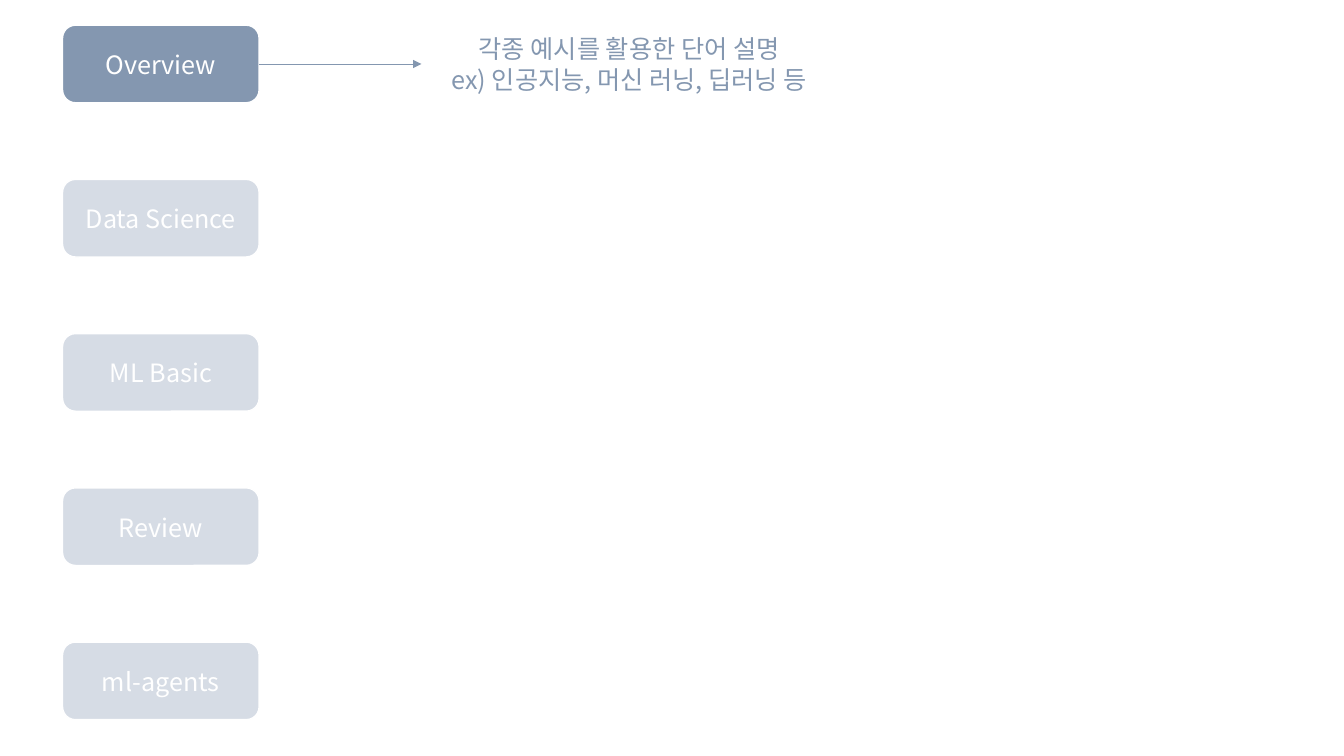
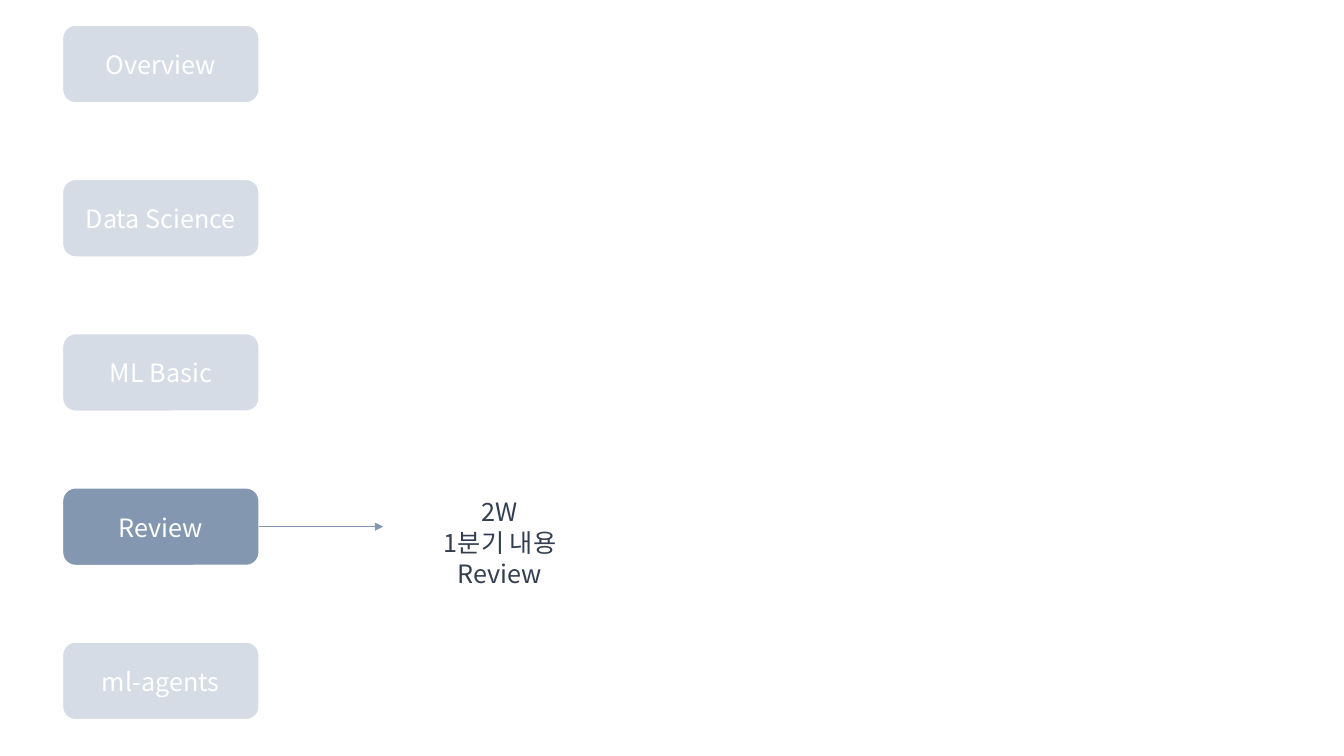
from pptx import Presentation
from pptx import util as u
from pptx.dml.color import RGBColor
from pptx.enum import shapes, text
from pptx.oxml.ns import qn
from lxml import etree

FONT = "Noto Sans CJK KR"
WHITE, PALE, BLUE, NAVY = "FFFFFF", "D6DCE5", "8497B0", "333F50"
STEPS = ["Overview", "Data Science", "ML Basic", "Review", "ml-agents"]
# Button column: left, top, width, height, row pitch in inches
LEFT, TOP, WIDE, HIGH, PITCH = 0.62, 0.25, 1.95, 0.77, 1.53
INSET = 0.05
NOTE_H = 0.71

SLIDES = [
    {"step": "Overview", "color": BLUE, "tip": 4.18, "left": 4.18, "wide": 4.12,
     "note": "각종 예시를 활용한 단어 설명\nex) 인공지능, 머신 러닝, 딥러닝 등"},
    {"step": "Review", "color": NAVY, "tip": 3.8, "left": 3.91, "wide": 2.1,
     "note": "2W\n1분기 내용 Review"},
]


def rgb(code):
    return RGBColor.from_string(code)


def write(shape, words, color, anchor):
    frame = shape.text_frame
    frame.word_wrap = True
    frame.vertical_anchor = anchor
    for side in ("left", "right", "top", "bottom"):
        setattr(frame, "margin_" + side, u.Inches(INSET))
    para = frame.paragraphs[0]
    para.text = words
    para.alignment = text.PP_ALIGN.CENTER
    para.line_spacing = u.Pt(22)
    for run in para.runs:
        for key, value in {"name": FONT, "size": u.Pt(18)}.items():
            setattr(run.font, key, value)
        run.font.color.rgb = rgb(color)
        east = etree.SubElement(run.font._element, qn("a:ea"))
        east.set("typeface", FONT)


def button(slide, row, words, fill):
    box = [u.Inches(n) for n in (LEFT, TOP + row * PITCH, WIDE, HIGH)]
    shape = slide.shapes.add_shape(shapes.MSO_SHAPE.ROUNDED_RECTANGLE, *box)
    shape.shadow.inherit = False
    shape.fill.solid()
    shape.fill.fore_color.rgb = rgb(fill)
    shape.line.color.rgb = rgb(WHITE)
    shape.line.width = u.Pt(1)
    write(shape, words, WHITE, text.MSO_ANCHOR.MIDDLE)


def arrow(slide, start, tip, y):
    ends = [u.Inches(n) for n in (start, y, tip, y)]
    line = slide.shapes.add_connector(shapes.MSO_CONNECTOR.STRAIGHT, *ends)
    line.line.color.rgb = rgb(BLUE)
    line.line.width = u.Pt(0.5)
    head = etree.SubElement(line.line._get_or_add_ln(), qn("a:tailEnd"))
    head.set("type", "triangle")
    etree.SubElement(line._element.spPr, qn("a:effectLst"))


def build(deck, plan):
    slide = deck.slides.add_slide(deck.slide_layouts[6])
    for row, step in enumerate(STEPS):
        button(slide, row, step, BLUE if step == plan["step"] else PALE)
    mid = TOP + STEPS.index(plan["step"]) * PITCH + HIGH / 2
    arrow(slide, LEFT + WIDE, plan["tip"], mid)
    box = (plan["left"], mid - NOTE_H / 2, plan["wide"], NOTE_H)
    note = slide.shapes.add_textbox(*[u.Inches(n) for n in box])
    write(note, plan["note"], plan["color"], text.MSO_ANCHOR.TOP)


def main():
    deck = Presentation()
    deck.slide_width, deck.slide_height = u.Inches(13.33), u.Inches(7.5)
    for plan in SLIDES:
        build(deck, plan)
    deck.save("out.pptx")


if __name__ == "__main__":
    main()
